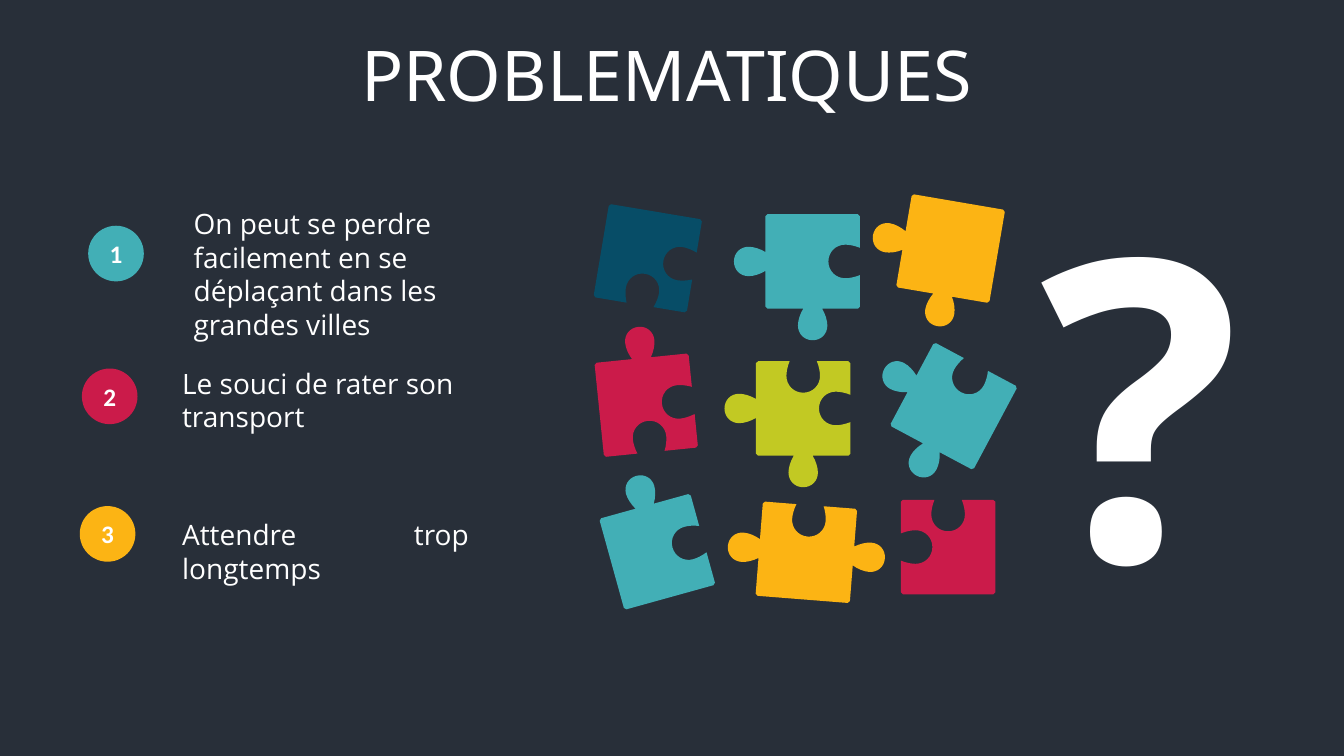
from dataclasses import dataclass

from pptx import Presentation
from pptx.dml.color import RGBColor
from pptx.enum.shapes import MSO_SHAPE
from pptx.enum.text import MSO_ANCHOR, MSO_AUTO_SIZE, PP_ALIGN
from pptx.oxml.ns import qn
from pptx.util import Pt

PX = 9525
TITLE_ONLY = 5
OVAL = MSO_SHAPE.OVAL
TOP, MIDDLE = MSO_ANCHOR.TOP, MSO_ANCHOR.MIDDLE
NO_FIT = MSO_AUTO_SIZE.NONE
LEFT, CENTER, JUSTIFY = PP_ALIGN.LEFT, PP_ALIGN.CENTER, PP_ALIGN.JUSTIFY


@dataclass(frozen=True)
class Theme:
    background: str = "282F39"
    white: str = "FFFFFF"
    teal: str = "42AFB6"
    crimson: str = "CB1B4A"
    amber: str = "FCB414"
    navy: str = "074D67"
    lime: str = "C2C923"
    display_font: str = "Noto Sans"
    body_font: str = "Open Sans"
    badge_font: str = "Calibri"
    title_size: int = 50
    mark_size: int = 300
    body_size: int = 20
    badge_size: int = 18


THEME = Theme()

# Puzzle geometry in px: half a side, corner cut, and how far a tab sticks out.
HALF, CORNER, TAB = 45, 2, 30
# Half a side's profile as (along, outward) Bezier points, from the edge to the tip.
PROFILES = {
    "tab": [(-9, 0), (-12, 5), (-14, 11), (-14, 16), (-14, 24), (-8, 30), (0, 30)],
    "socket": [(-13, 0), (-15, -5), (-16, -10), (-16, -14), (-16, -23), (-9, -30), (0, -30)],
    "flat": [],
}

# Badge left and top, text left, top and height, alignment, colour, wording.
PROBLEMS = [
    (84, 215, 175, 192, 107, LEFT, THEME.teal,
     "On peut se perdre facilement en se déplaçant dans les grandes villes"),
    (78, 351, 164, 344, 74, LEFT, THEME.crimson, "Le souci de rater son transport"),
    (76, 482, 164, 488, 42, JUSTIFY, THEME.amber, "Attendre trop longtemps"),
]

# Left, top, rotation, colour, then the top, right, bottom and left sides.
PIECES = [
    (572, 201, 9.5, THEME.navy, "flat socket socket flat"),
    (699, 204, 0, THEME.teal, "flat socket tab tab"),
    (828, 189, 9.7, THEME.amber, "flat flat tab tab"),
    (569, 311, 354.2, THEME.crimson, "tab socket socket flat"),
    (690, 344, 0, THEME.lime, "socket socket tab tab"),
    (828, 333, 28.1, THEME.teal, "socket flat tab tab"),
    (577, 451, 344.5, THEME.teal, "tab socket flat flat"),
    (693, 481, 4.5, THEME.amber, "socket tab flat tab"),
    (858, 476, 0, THEME.crimson, "socket flat flat socket"),
]


def place(shape, left, top, width, height):
    shape.left, shape.top = left * PX, top * PX
    shape.width, shape.height = width * PX, height * PX


def write(shape, text, font, size, align=LEFT, bold=False, anchor=TOP):
    frame = shape.text_frame
    frame.word_wrap = True
    frame.auto_size = NO_FIT
    frame.vertical_anchor = anchor
    para = frame.paragraphs[0]
    para.text = text
    para.alignment = align
    para.font.name = font
    para.font.size = Pt(size)
    para.font.bold = bold
    para.font.color.rgb = RGBColor.from_string(THEME.white)


def paint(shape, color):
    shape.shadow.inherit = False
    shape.fill.solid()
    shape.fill.fore_color.rgb = RGBColor.from_string(color)
    shape.line.fill.background()


def add_text(page, bounds, text, font, size, **style):
    box = page.shapes.add_textbox(0, 0, 0, 0)
    place(box, *bounds)
    write(box, text, font, size, **style)


def add_badge(page, left, top, color, label):
    badge = page.shapes.add_shape(OVAL, 0, 0, 0, 0)
    place(badge, left, top, 53, 53)
    paint(badge, color)
    write(badge, label, THEME.badge_font, THEME.badge_size,
          align=CENTER, bold=True, anchor=MIDDLE)


def side_points(kind):
    """Points of the top side around the body's centre, corner to corner."""
    half = PROFILES[kind]
    mirrored = [(-along, out) for along, out in reversed(half[:-1])]
    inner = HALF - CORNER
    profile = [(-inner, 0), *half, *mirrored, (inner, 0)]
    return [(along, -HALF - out) for along, out in profile]


def bend(shape, curve_starts):
    """Turn each three line segments from the given points into one Bezier curve."""
    lines = shape._element.xpath(".//a:lnTo")
    for start in curve_starts:
        curve, second, third = lines[start - 1:start + 2]
        curve.tag = qn("a:cubicBezTo")
        for line in (second, third):
            curve.append(line[0])
            line.getparent().remove(line)


def add_piece(page, left, top, rotation, color, sides):
    """Add a puzzle piece; left and top bound it before it is rotated."""
    kinds = sides.split()
    center_x = left + HALF + TAB * (kinds[3] == "tab")
    center_y = top + HALF + TAB * (kinds[0] == "tab")
    outline, curve_starts = [], []
    for turns, kind in enumerate(kinds):
        points = side_points(kind)
        curve_starts += range(len(outline) + 2, len(outline) + len(points) - 1, 3)
        for _ in range(turns):
            points = [(-y, x) for x, y in points]
        outline += [(center_x + x, center_y + y) for x, y in points]
    builder = page.shapes.build_freeform(*outline[0], scale=PX)
    builder.add_line_segments(outline[1:], close=True)
    piece = builder.convert_to_shape()
    bend(piece, curve_starts)
    piece.rotation = rotation
    paint(piece, color)


def main():
    deck = Presentation()
    deck.slide_width, deck.slide_height = 1280 * PX, 720 * PX
    page = deck.slides.add_slide(deck.slide_layouts[TITLE_ONLY])
    page.background.fill.solid()
    page.background.fill.fore_color.rgb = RGBColor.from_string(THEME.background)

    title = page.shapes.title
    place(title, 127, 25, 1016, 90)
    write(title, "PROBLEMATIQUES", THEME.display_font, THEME.title_size, align=CENTER)
    add_text(page, (978, 130, 216, 494), "?", THEME.display_font, THEME.mark_size,
             align=CENTER, bold=True)

    for number, problem in enumerate(PROBLEMS, start=1):
        badge_left, badge_top, left, top, height, align, color, text = problem
        add_badge(page, badge_left, badge_top, color, str(number))
        add_text(page, (left, top, 292, height), text,
                 THEME.body_font, THEME.body_size, align=align)

    for piece in PIECES:
        add_piece(page, *piece)

    deck.save("out.pptx")


if __name__ == "__main__":
    main()
